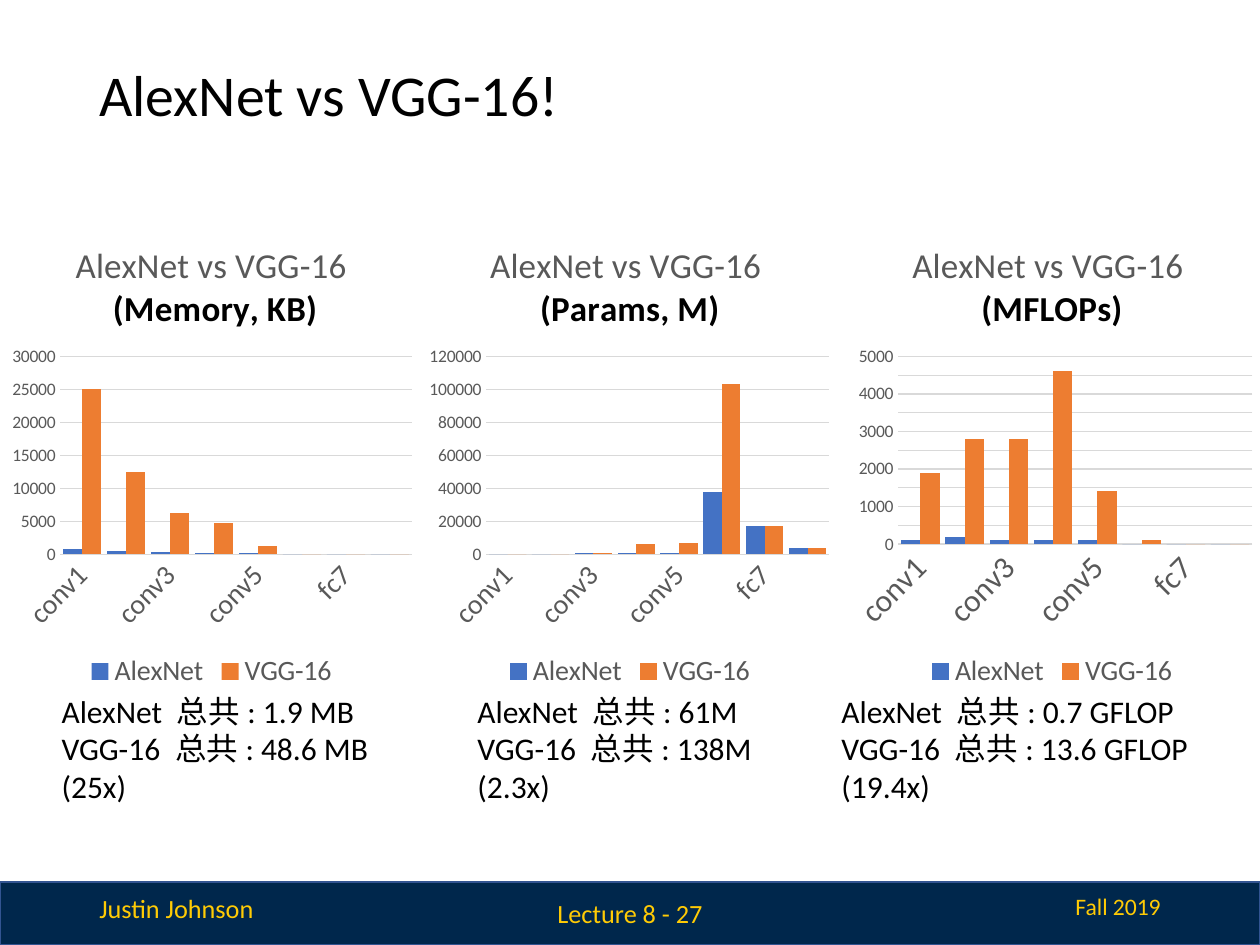
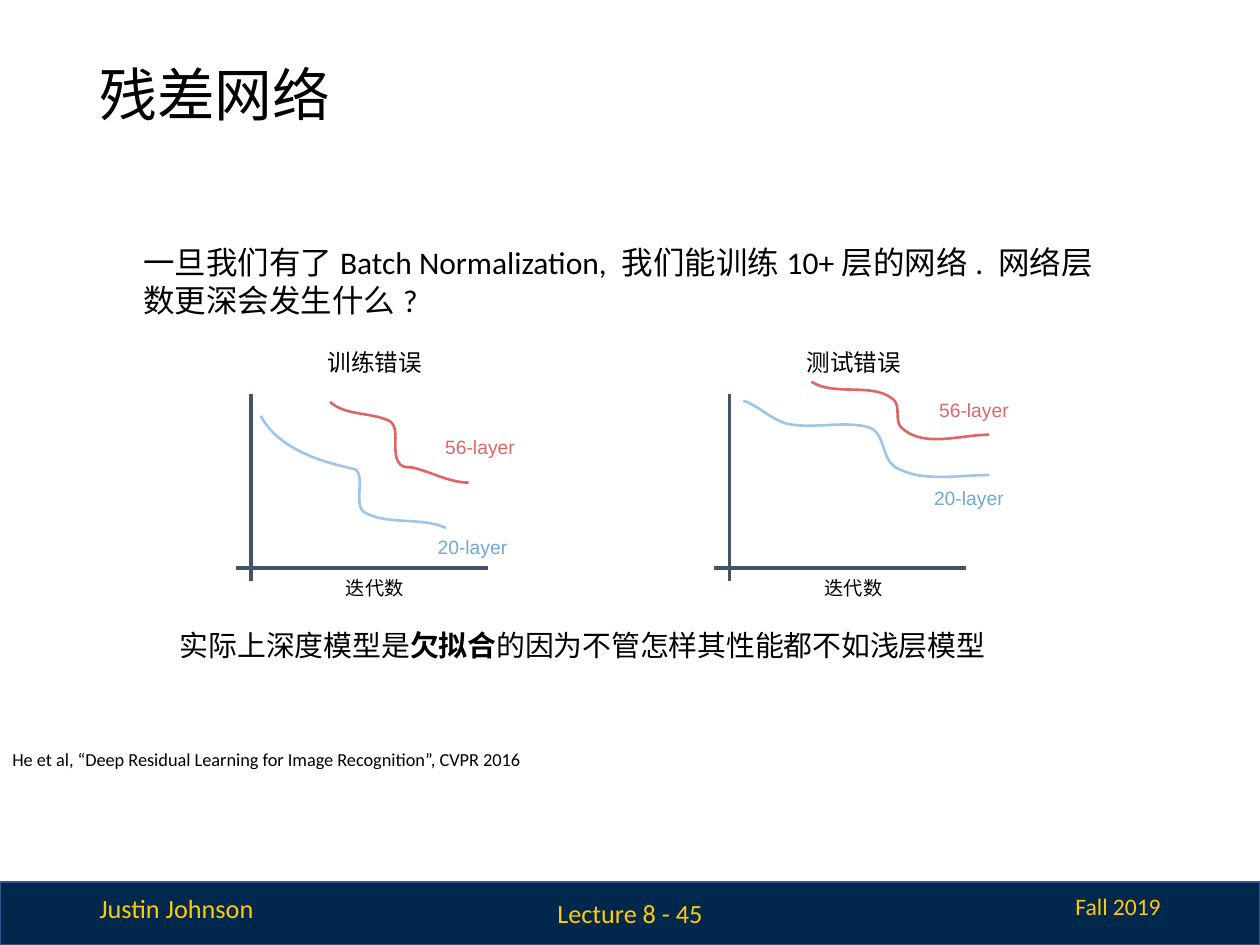
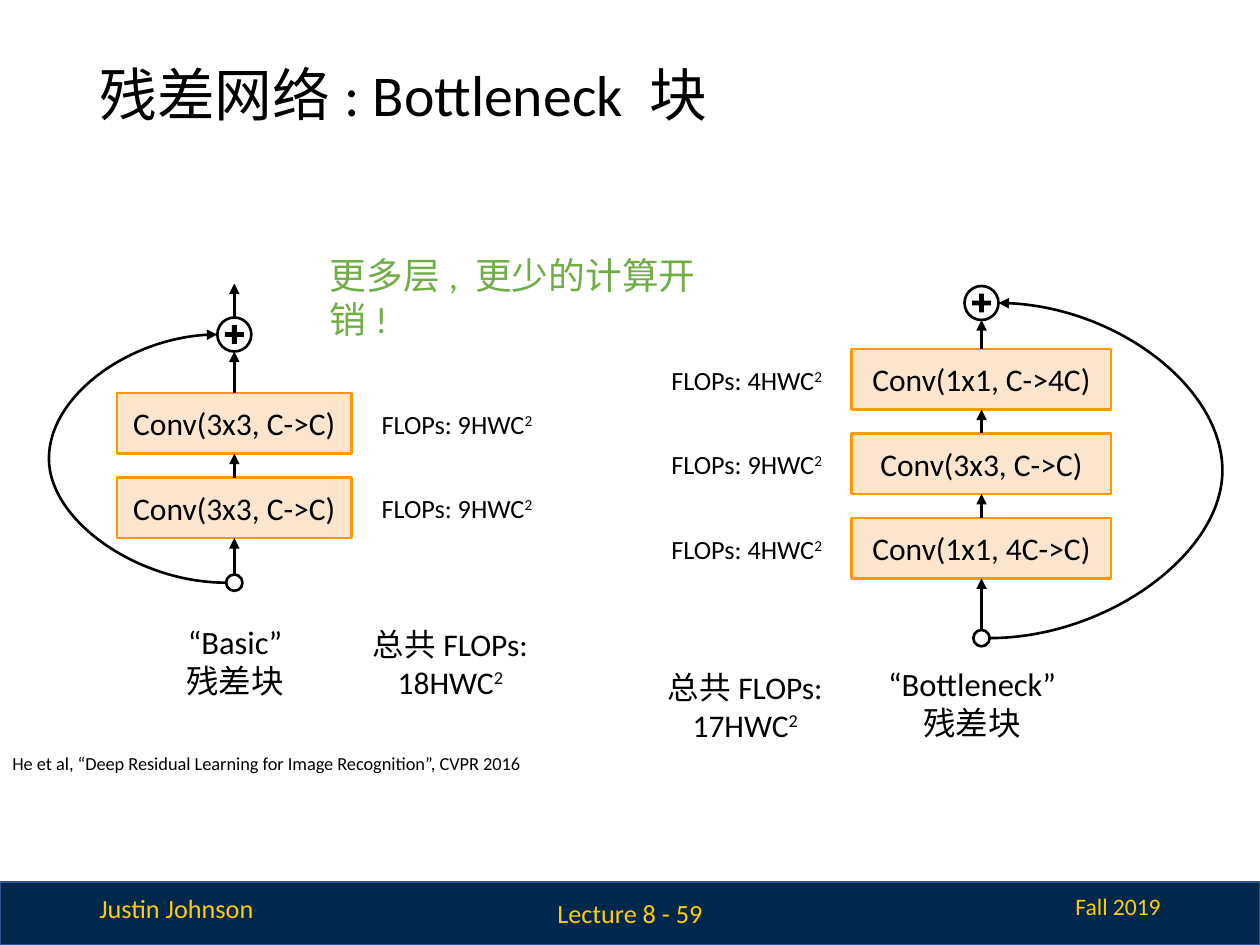
from dataclasses import dataclass

from lxml import etree
from pptx import Presentation
from pptx.chart.data import CategoryChartData
from pptx.dml.color import RGBColor as RGB
from pptx.enum.chart import XL_CHART_TYPE, XL_LEGEND_POSITION, XL_TICK_MARK
from pptx.enum.shapes import MSO_CONNECTOR as CONN, MSO_SHAPE as SHAPE
from pptx.enum.text import MSO_ANCHOR as ANCHOR, PP_ALIGN as ALIGN
from pptx.oxml.ns import qn
from pptx.util import Inches, Pt


@dataclass(frozen=True)
class Theme:
    font: str = "Calibri"
    plot_font: str = "Arial"
    black: RGB = RGB.from_string("000000")
    navy: RGB = RGB.from_string("00274C")
    band_edge: RGB = RGB.from_string("325491")
    maize: RGB = RGB.from_string("FFCB05")
    gray: RGB = RGB.from_string("595959")
    grid: RGB = RGB.from_string("D9D9D9")
    blue: RGB = RGB.from_string("4472C4")
    orange: RGB = RGB.from_string("ED7D31")
    axis: RGB = RGB.from_string("44546A")
    shallow: RGB = RGB.from_string("9FC5E8")
    shallow_text: RGB = RGB.from_string("6FA8DC")
    deep: RGB = RGB.from_string("E06666")
    green: RGB = RGB.from_string("70AD47")
    box_fill: RGB = RGB.from_string("FCE5CD")
    box_edge: RGB = RGB.from_string("FF9900")
    title: float = 33
    callout: float = 21
    chart_title: float = 20
    caption: float = 18.6
    body: float = 18
    conclusion: float = 16.5
    legend: float = 16
    label: float = 15
    term: float = 13.5
    plot: float = 11
    cite: float = 10.5
    tick: float = 10


T = Theme()


def write(sp, paras, size, color=T.black, font=T.font, align=ALIGN.LEFT,
          anchor=ANCHOR.TOP, inset=None, wrap=True):
    """Fill a shape; a run is a string or a (string, "bold" | "sup") pair."""
    tf = sp.text_frame
    tf.word_wrap = wrap
    tf.vertical_anchor = anchor
    if inset is not None:
        tf.margin_left = tf.margin_right = tf.margin_top = tf.margin_bottom = Inches(inset)
    for i, runs in enumerate(paras):
        p = tf.paragraphs[0] if i == 0 else tf.add_paragraph()
        p.alignment = align
        for run in [runs] if isinstance(runs, str) else runs:
            words, style = (run, "") if isinstance(run, str) else run
            r = p.add_run()
            r.text = words
            r.font.size, r.font.name = Pt(size), font
            r.font.color.rgb = color
            if style == "bold":
                r.font.bold = True
            elif style == "sup":
                r._r.get_or_add_rPr().set("baseline", "30000")
    return tf


def connect(s, kind, x1, y1, x2, y2, color, width, arrow=False):
    cxn = s.shapes.add_connector(kind, Inches(x1), Inches(y1), Inches(x2), Inches(y2))
    cxn.line.color.rgb = color
    cxn.line.width = Pt(width)
    if arrow:
        etree.SubElement(cxn.line._get_or_add_ln(), qn("a:tailEnd"), type="triangle")
    etree.SubElement(cxn._element.spPr, qn("a:effectLst"))
    return cxn


prs = Presentation()
prs.slide_width, prs.slide_height = Inches(10), Inches(7.5)

# Shared frame: band, footers, title
slides = []
for title, number in [("AlexNet vs VGG-16!", 27), ("残差网络", 45),
                      ("残差网络: Bottleneck 块", 59)]:
    s = prs.slides.add_slide(prs.slide_layouts[6])
    band = s.shapes.add_shape(SHAPE.RECTANGLE, 0, Inches(7), Inches(10), Inches(0.5))
    band.shadow.inherit = False
    band.fill.solid()
    band.fill.fore_color.rgb = T.navy
    band.line.color.rgb = T.band_edge
    band.line.width = Pt(1)
    for words, x, y, w, h, size, align, anchor in [
        ("Justin Johnson", 0.69, 7.03, 1.44, 0.35, T.label, ALIGN.LEFT, ANCHOR.TOP),
        ("Fall 2019", 7.33, 7.03, 1.98, 0.33, T.term, ALIGN.RIGHT, ANCHOR.TOP),
        (f"Lecture 8 - {number}", 3.65, 7.05, 2.7, 0.4, T.label, ALIGN.CENTER, ANCHOR.MIDDLE),
    ]:
        sp = s.shapes.add_textbox(Inches(x), Inches(y), Inches(w), Inches(h))
        write(sp, [words], size, T.maize, align=align, anchor=anchor)
    sp = s.shapes.add_textbox(Inches(0.69), Inches(0.4), Inches(8.62), Inches(0.75))
    tf = write(sp, [title], T.title, anchor=ANCHOR.MIDDLE)
    tf.paragraphs[0].line_spacing = 0.9
    slides.append(s)
compare, residual, bottleneck = slides

# Citation on both residual network slides
for s, y in [(residual, 5.89), (bottleneck, 5.92)]:
    sp = s.shapes.add_textbox(0, Inches(y), Inches(4.33), Inches(0.28))
    write(sp, ["He et al, “Deep Residual Learning for Image Recognition”, CVPR 2016"],
          T.cite, wrap=False)

# Slide 1: three column charts with totals
CHART_W, CHART_H = 3.3, 3.75
layers = ["conv1", "conv2", "conv3", "conv4", "conv5", "fc6", "fc7", "fc8"]
charts = [  # left, title, AlexNet, VGG-16, axis top, step, layer size, title x, plot area
    (0.03, "AlexNet vs VGG-16\n (Memory, KB)", [800, 500, 300, 200, 200, 0, 0, 0],
     [25100, 12500, 6300, 4700, 1200, 0, 0, 0], 30000, 5000, 16,
     0.54, (0.45, 1.07, 2.79, 1.57)),
    (3.35, "AlexNet vs VGG-16 \n(Params, M)", [0, 0, 1000, 1000, 1000, 38000, 17000, 4000],
     [0, 0, 1000, 6000, 7000, 103000, 17000, 4000], 120000, 20000, 16,
     0.51, (0.51, 1.07, 2.72, 1.57)),
    (6.7, "AlexNet vs VGG-16 \n(MFLOPs)", [100, 200, 100, 100, 100, 0, 0, 0],
     [1900, 2800, 2800, 4600, 1400, 100, 0, 0], 5000, 500, 18,
     0.51, (0.43, 1.07, 2.81, 1.49)),
]
for x, title, alexnet, vgg, top, step, layer_size, title_x, plot_area in charts:
    data = CategoryChartData()
    data.categories = layers
    data.add_series("AlexNet", alexnet)
    data.add_series("VGG-16", vgg)
    chart = compare.shapes.add_chart(XL_CHART_TYPE.COLUMN_CLUSTERED, Inches(x), Inches(1.76),
                                     Inches(CHART_W), Inches(CHART_H), data).chart
    chart.font.name, chart.font.size = T.font, Pt(T.tick)

    # Title: plain model names over a bold unit
    chart.has_title = True
    tf = chart.chart_title.text_frame
    tf.text = title
    for p, bold, color in zip(tf.paragraphs, (False, True), (T.gray, T.black)):
        f = p.runs[0].font
        f.size, f.name, f.bold = Pt(T.chart_title), T.font, bold
        f.color.rgb = color

    # Columns
    plot = chart.plots[0]
    plot.gap_width, plot.overlap, plot.vary_by_categories = 30, 0, False
    for series, color in zip(plot.series, (T.blue, T.orange)):
        series.format.fill.solid()
        series.format.fill.fore_color.rgb = color

    # Axes and legend
    cat, val = chart.category_axis, chart.value_axis
    chart.has_legend = True
    chart.legend.position = XL_LEGEND_POSITION.BOTTOM
    chart.legend.include_in_layout = False
    for f, size in [(cat.tick_labels.font, layer_size), (val.tick_labels.font, T.tick),
                    (chart.legend.font, T.legend)]:
        f.size, f.name = Pt(size), T.font
        f.color.rgb = T.gray
    for axis in (cat, val):
        axis.major_tick_mark = axis.minor_tick_mark = XL_TICK_MARK.NONE
    cat._element.find(qn("c:txPr")).find(qn("a:bodyPr")).set("rot", "-2700000")
    val.minimum_scale, val.maximum_scale, val.major_unit = 0, top, step
    val.format.line.fill.background()
    for line in (cat.format.line, val.major_gridlines.format.line):
        line.color.rgb = T.grid
        line.width = Pt(0.75)

    # Fixed places for the title and the plot area, as shares of the chart
    title_el = chart.chart_title._element
    area_el = chart._chartSpace.chart.plotArea
    for parent, index, target, lengths in [(title_el, 1, None, (title_x, 0.13)),
                                           (area_el, 0, "inner", plot_area)]:
        for old in parent.findall(qn("c:layout")):
            parent.remove(old)
        layout = etree.Element(qn("c:layout"))
        manual = etree.SubElement(layout, qn("c:manualLayout"))
        if target:
            etree.SubElement(manual, qn("c:layoutTarget"), val=target)
        for mode in ("xMode", "yMode"):
            etree.SubElement(manual, qn(f"c:{mode}"), val="edge")
        for name, length, whole in zip("xywh", lengths, (CHART_W, CHART_H) * 2):
            etree.SubElement(manual, qn(f"c:{name}"), val=f"{length / whole:.4f}")
        parent.insert(index, layout)

for x, w, alexnet, vgg in [(0.39, 3.12, "1.9 MB", "48.6 MB (25x)"),
                           (3.69, 2.92, "61M", "138M (2.3x)"),
                           (6.58, 3.63, "0.7 GFLOP", "13.6 GFLOP (19.4x)")]:
    sp = compare.shapes.add_textbox(Inches(x), Inches(5.44), Inches(w), Inches(0.71))
    write(sp, [f"AlexNet 总共: {alexnet}", f"VGG-16 总共: {vgg}"], T.body)

# Slide 2: question and conclusion
sp = residual.shapes.add_textbox(Inches(1.04), Inches(1.88), Inches(7.92), Inches(0.71))
write(sp, ["一旦我们有了Batch Normalization, 我们能训练10+层的网络. 网络层数更深会发生什么?"], T.body)
sp = residual.shapes.add_textbox(Inches(1.33), Inches(4.93), Inches(7.34), Inches(0.38))
write(sp, [["实际上深度模型是", ("欠拟合", "bold"), "的因为不管怎样其性能都不如浅层模型"]],
      T.conclusion)

# Slide 2: two error plots, axes and labels
for dx, heading, deep_at, shallow_at in [(0, "训练错误", (3.35, 3.36), (3.29, 4.16)),
                                         (3.8, "测试错误", (7.27, 3.07), (7.23, 3.77))]:
    connect(residual, CONN.STRAIGHT, 1.99 + dx, 3.13, 1.99 + dx, 4.61, T.axis, 2.25)
    connect(residual, CONN.STRAIGHT, 3.87 + dx, 4.51, 1.87 + dx, 4.51, T.axis, 2.25)
    for words, (x, y), w, size, color, anchor in [
        (heading, (2.17 + dx, 2.72), 1.61, T.term, T.black, ANCHOR.MIDDLE),
        ("迭代数", (2.17 + dx, 4.48), 1.61, T.plot, T.black, ANCHOR.TOP),
        ("56-layer", deep_at, 0.92, T.plot, T.deep, ANCHOR.TOP),
        ("20-layer", shallow_at, 0.92, T.plot, T.shallow_text, ANCHOR.TOP),
    ]:
        sp = residual.shapes.add_textbox(Inches(x), Inches(y), Inches(w), Inches(0.3))
        write(sp, [words], size, color, T.plot_font, ALIGN.CENTER, anchor, 0.1)

# Slide 2: error curves, each a start point and cubic Bezier segments
curves = [
    (T.shallow, [(2.07, 3.3), (2.2, 3.55), (2.52, 3.66), (2.8, 3.72), (2.92, 3.74),
                 (2.79, 4.02), (2.9, 4.07), (3.09, 4.17), (3.34, 4.1), (3.54, 4.19)]),
    (T.deep, [(2.62, 3.19), (2.74, 3.3), (2.94, 3.27), (3.09, 3.34), (3.19, 3.4),
              (3.09, 3.6), (3.18, 3.69), (3.21, 3.72), (3.27, 3.7), (3.31, 3.72),
              (3.45, 3.76), (3.58, 3.83), (3.72, 3.83)]),
    (T.shallow, [(5.9, 3.18), (6.04, 3.23), (6.14, 3.35), (6.28, 3.37), (6.48, 3.4),
                 (6.7, 3.34), (6.89, 3.39), (7.03, 3.43), (6.99, 3.64), (7.11, 3.71),
                 (7.32, 3.83), (7.6, 3.77), (7.85, 3.77)]),
    (T.deep, [(6.44, 3.03), (6.63, 3.15), (6.92, 3.03), (7.09, 3.17), (7.15, 3.22),
              (7.1, 3.34), (7.15, 3.39), (7.32, 3.56), (7.62, 3.45), (7.85, 3.45)]),
]
for color, pts in curves:
    pts = [(Inches(x), Inches(y)) for x, y in pts]
    fb = residual.shapes.build_freeform(*pts[0])
    fb.add_line_segments(pts[3::3], close=False)
    sp = fb.convert_to_shape()
    sp.shadow.inherit = False
    sp.fill.background()
    sp.line.color.rgb = color
    sp.line.width = Pt(1.5)
    # Bend each straight segment with its two control points
    for i, seg in enumerate(list(sp._element.iter(qn("a:lnTo")))):
        bend = etree.Element(qn("a:cubicBezTo"))
        for x, y in pts[3 * i + 1:3 * i + 4]:
            etree.SubElement(bend, qn("a:pt"), x=str(x - sp.left), y=str(y - sp.top))
        seg.getparent().replace(seg, bend)

# Slide 3: residual blocks, convolutions listed from bottom to top
s = bottleneck
BOX_H, BOX_STEP, DOT, RING, PLUS = 0.48, 0.67, 0.13, 0.27, 0.15
blocks = [  # centre, box width, lowest box, dot, ring, FLOPs x, bypass side, bypass x, layers
    (1.86, 1.86, 3.79, 4.56, 2.52, 2.93, -1, 0.39,
     [("Conv(3x3, C->C)", 9), ("Conv(3x3, C->C)", 9)]),
    (7.79, 2.06, 4.11, 5, 2.27, 5.23, 1, 9.7,
     [("Conv(1x1, 4C->C)", 4), ("Conv(3x3, C->C)", 9), ("Conv(1x1, C->4C)", 4)]),
]
for cx, box_w, low, dot_y, ring_y, flops_x, side, bypass_x, convs in blocks:
    # Grouped sum ring and plus sign, then the start dot
    total = s.shapes.add_group_shape()
    for shapes, kind, y, d in [(total.shapes, SHAPE.OVAL, ring_y, RING),
                               (total.shapes, SHAPE.CROSS, ring_y + (RING - PLUS) / 2, PLUS),
                               (s.shapes, SHAPE.OVAL, dot_y, DOT)]:
        sp = shapes.add_shape(kind, Inches(cx - d / 2), Inches(y), Inches(d), Inches(d))
        sp.shadow.inherit = False
        if kind == SHAPE.CROSS:
            sp.adjustments[0] = 0.37
            sp.fill.solid()
            sp.fill.fore_color.rgb = T.black
            sp.line.fill.background()
        else:
            sp.fill.background()
            sp.line.color.rgb = T.black
            sp.line.width = Pt(1.5)

    # Convolution boxes, each joined to the part below
    below, below_y = sp, dot_y
    for i, (conv, cost) in enumerate(convs):
        y = low - i * BOX_STEP
        box = s.shapes.add_shape(SHAPE.RECTANGLE, Inches(cx - box_w / 2), Inches(y),
                                 Inches(box_w), Inches(BOX_H))
        box.shadow.inherit = False
        box.fill.solid()
        box.fill.fore_color.rgb = T.box_fill
        box.line.color.rgb = T.box_edge
        box.line.width = Pt(1.5)
        write(box, [conv], T.body, align=ALIGN.CENTER, anchor=ANCHOR.MIDDLE, inset=0.1)
        cxn = connect(s, CONN.STRAIGHT, cx, below_y, cx, y + BOX_H, T.black, 2, True)
        cxn.begin_connect(below, 0)
        cxn.end_connect(box, 2)
        below, below_y = box, y
        sp = s.shapes.add_textbox(Inches(flops_x), Inches(y + 0.07), Inches(1.42), Inches(0.35))
        write(sp, [[f"FLOPs: {cost}HWC", ("2", "sup")]], T.label, wrap=False)
    cxn = connect(s, CONN.STRAIGHT, cx, below_y, cx, ring_y + RING, T.black, 2, True)
    cxn.begin_connect(below, 0)

    # Bypass from the dot to the ring
    x1, x2 = cx + side * DOT / 2, cx + side * RING / 2
    cxn = connect(s, CONN.CURVE, x1, dot_y + DOT / 2, x2, ring_y + RING / 2, T.black, 1.5, True)
    bend = round((bypass_x - x1) / (x2 - x1) * 100000)
    av = cxn._element.spPr.find(qn("a:prstGeom")).find(qn("a:avLst"))
    etree.SubElement(av, qn("a:gd"), name="adj1", fmla=f"val {bend}")

# Slide 3: output arrow of the basic block
connect(s, CONN.STRAIGHT, 1.86, 2.52, 1.86, 2.25, T.black, 2, True)

# Slide 3: block names, totals and callout
for x, y, name in [(0.99, 4.92, "“Basic”"), (6.84, 5.25, "“Bottleneck”")]:
    sp = s.shapes.add_textbox(Inches(x), Inches(y), Inches(1.75), Inches(0.66))
    write(sp, [name, "残差块"], T.caption, align=ALIGN.CENTER, anchor=ANCHOR.MIDDLE, inset=0.1)
for x, y, total in [(2.86, 4.91, 18), (5.2, 5.25, 17)]:
    sp = s.shapes.add_textbox(Inches(x), Inches(y), Inches(1.43), Inches(0.71))
    write(sp, ["总共FLOPs:", [f"{total}HWC", ("2", "sup")]], T.body, align=ALIGN.CENTER, wrap=False)
sp = s.shapes.add_textbox(Inches(2.52), Inches(1.96), Inches(3.38), Inches(0.45))
write(sp, ["更多层, 更少的计算开销!"], T.callout, T.green)

prs.save("out.pptx")
